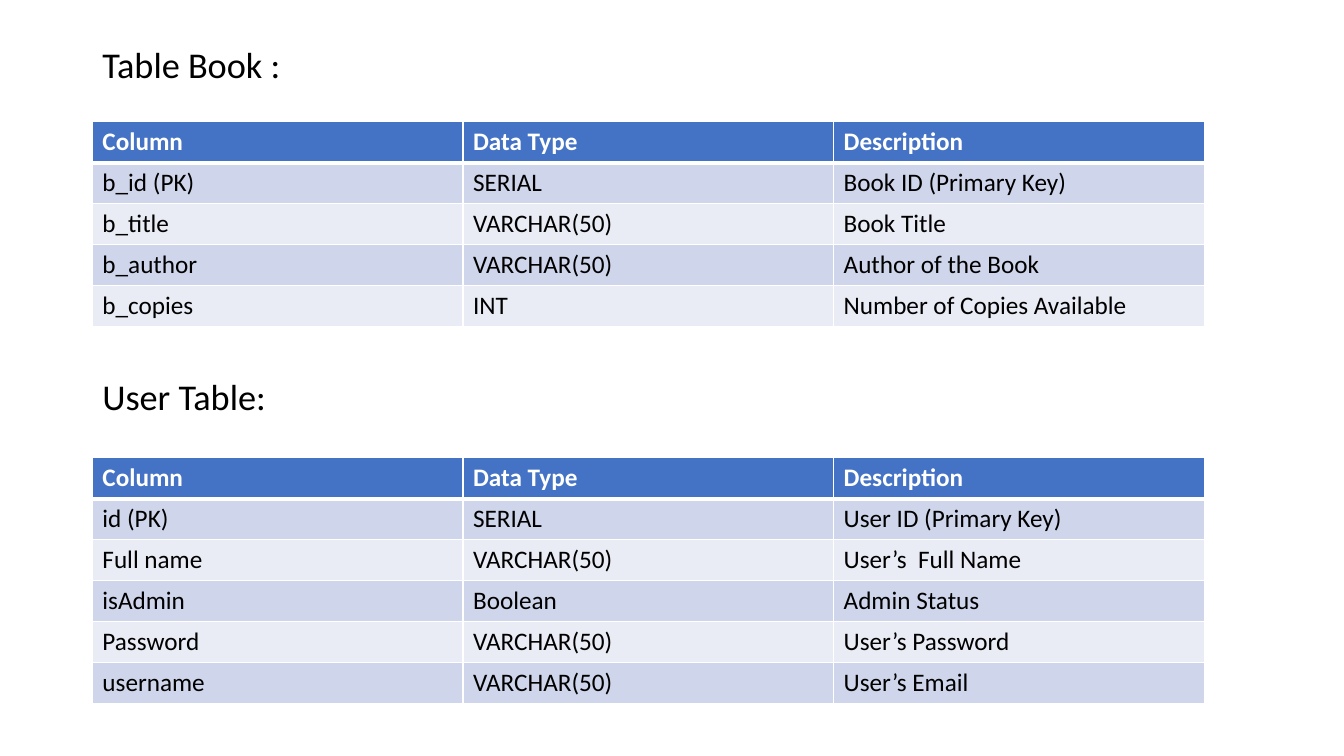
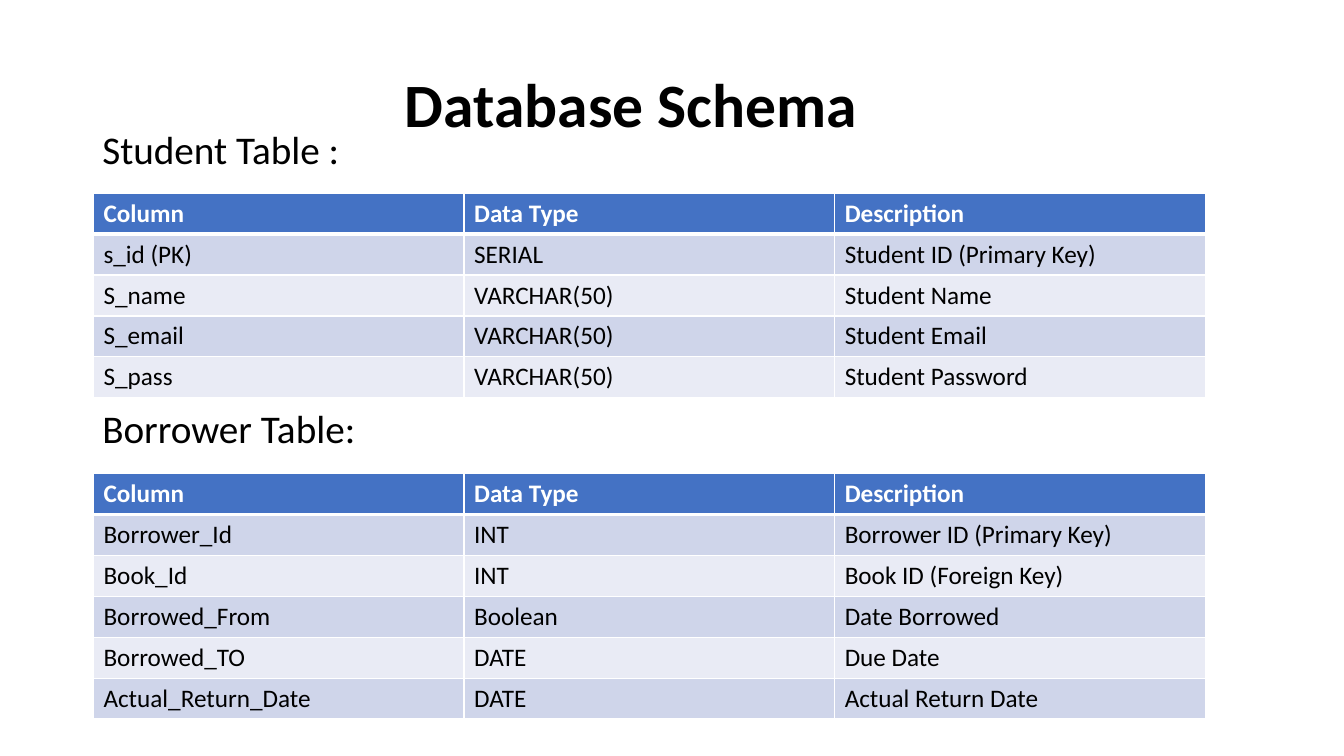
from dataclasses import dataclass

from lxml.etree import SubElement
from pptx import Presentation
from pptx.dml.color import RGBColor
from pptx.enum.text import MSO_ANCHOR, MSO_AUTO_SIZE, PP_ALIGN
from pptx.oxml.ns import qn
from pptx.util import Emu, Pt


@dataclass(frozen=True)
class Theme:
    font: str = "Calibri"
    text: str = "000000"
    white: str = "FFFFFF"
    header: str = "4472C4"
    bands: tuple = ("CFD5EA", "E9EBF5")
    title_size: float = 44
    cell_size: float = 18
    rule: float = 1
    header_rule: float = 3


THEME = Theme()
COLUMNS = ("Column", "Data Type", "Description")
COL_W, ROW_H = 353, 39
LEFT = 88


def px(n):
    return Emu(n * 9525)


def format_text(p, size, color=THEME.text, bold=False):
    for r in p.runs:
        r.font.name = THEME.font
        r.font.size = Pt(size)
        r.font.bold = bold
        r.font.color.rgb = RGBColor.from_string(color)


def set_borders(cell, top, bottom):
    tcPr = cell._tc.get_or_add_tcPr()
    widths = {"lnL": THEME.rule, "lnR": THEME.rule, "lnT": top, "lnB": bottom}
    for tag, width in widths.items():
        ln = SubElement(tcPr, qn(f"a:{tag}"), w=str(Pt(width)))
        fill = SubElement(ln, qn("a:solidFill"))
        SubElement(fill, qn("a:srgbClr"), val=THEME.white)


def add_title(s, text, box, indent):
    sp = s.shapes.title
    sp.left, sp.top, sp.width, sp.height = map(px, box)
    tf = sp.text_frame
    tf.text = text
    tf.word_wrap = True
    tf.auto_size = MSO_AUTO_SIZE.NONE
    tf.vertical_anchor = MSO_ANCHOR.MIDDLE
    p = tf.paragraphs[0]
    p.alignment = PP_ALIGN.LEFT
    p.line_spacing = 0.9
    p._p.get_or_add_pPr().set("marL", str(px(indent)))
    format_text(p, THEME.title_size, bold=True)


def add_heading(s, text, box, size, spacing):
    tf = s.shapes.add_textbox(*map(px, box)).text_frame
    tf.text = text
    tf.word_wrap = True
    p = tf.paragraphs[0]
    p.line_spacing = spacing
    format_text(p, size)


def add_schema_table(s, left, top, fields):
    rows = (COLUMNS, *fields)
    box = (left, top, COL_W * len(COLUMNS), ROW_H * len(rows))
    table = s.shapes.add_table(len(rows), len(COLUMNS), *map(px, box)).table
    for column in table.columns:
        column.width = px(COL_W)
    for i, values in enumerate(rows):
        table.rows[i].height = px(ROW_H)
        is_header = i == 0
        fill = THEME.header if is_header else THEME.bands[(i - 1) % 2]
        for j, value in enumerate(values):
            cell = table.cell(i, j)
            cell.text = value
            format_text(cell.text_frame.paragraphs[0], THEME.cell_size,
                        THEME.white if is_header else THEME.text, is_header)
            # Borders come before the fill in the cell properties
            set_borders(cell,
                        THEME.header_rule if i == 1 else THEME.rule,
                        THEME.header_rule if is_header else THEME.rule)
            cell.fill.solid()
            cell.fill.fore_color.rgb = RGBColor.from_string(fill)


def add_schema_slide(prs, sections, size, spacing, heading_h, table_left,
                     title=None):
    s = prs.slides.add_slide(prs.slide_layouts[5 if title else 6])
    if title:
        add_title(s, title, (LEFT, 33, 1104, 139), indent=288)
    for heading, heading_top, table_top, fields in sections:
        add_heading(s, heading, (LEFT, heading_top, 1104, heading_h),
                    size, spacing)
        add_schema_table(s, table_left, table_top, fields)


# Table contents
BOOK = (
    ("b_id (PK)", "SERIAL", "Book ID (Primary Key)"),
    ("b_title", "VARCHAR(50)", "Book Title"),
    ("b_author", "VARCHAR(50)", "Author of the Book"),
    ("b_copies", "INT", "Number of Copies Available"),
)
USER = (
    ("id (PK)", "SERIAL", "User ID (Primary Key)"),
    ("Full name", "VARCHAR(50)", "User’s  Full Name"),
    ("isAdmin", "Boolean", "Admin Status"),
    ("Password", "VARCHAR(50)", "User’s Password"),
    ("username", "VARCHAR(50)", "User’s Email"),
)
STUDENT = (
    ("s_id (PK)", "SERIAL", "Student ID (Primary Key)"),
    ("S_name", "VARCHAR(50)", "Student Name"),
    ("S_email", "VARCHAR(50)", "Student Email"),
    ("S_pass", "VARCHAR(50)", "Student Password"),
)
BORROWER = (
    ("Borrower_Id", "INT", "Borrower ID (Primary Key)"),
    ("Book_Id", "INT", "Book ID (Foreign Key)"),
    ("Borrowed_From", "Boolean", "Date Borrowed"),
    ("Borrowed_TO", "DATE", "Due Date"),
    ("Actual_Return_Date", "DATE", "Actual Return Date"),
)


def main():
    prs = Presentation()
    prs.slide_width, prs.slide_height = px(1280), px(720)

    # Books and users
    add_schema_slide(
        prs,
        (("Table Book :", 47, 116, BOOK), ("User Table:", 363, 436, USER)),
        size=25.9, spacing=0.7, heading_h=39, table_left=LEFT)

    # Students and borrowers
    add_schema_slide(
        prs,
        (("Student Table :", 123, 184, STUDENT),
         ("Borrower Table:", 389, 451, BORROWER)),
        size=28, spacing=0.8, heading_h=50, table_left=LEFT + 1,
        title="Database Schema")

    prs.save("out.pptx")


if __name__ == "__main__":
    main()
